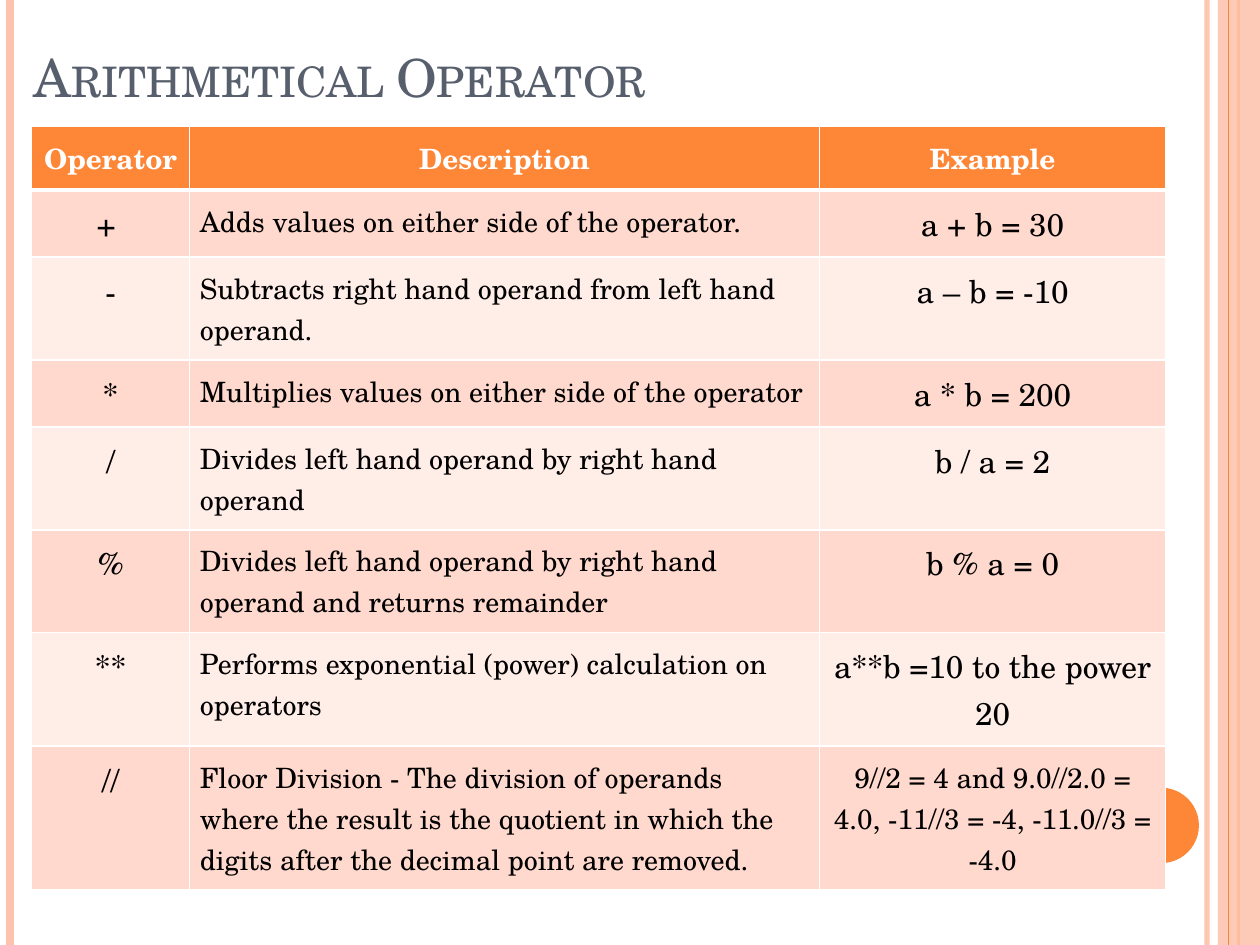
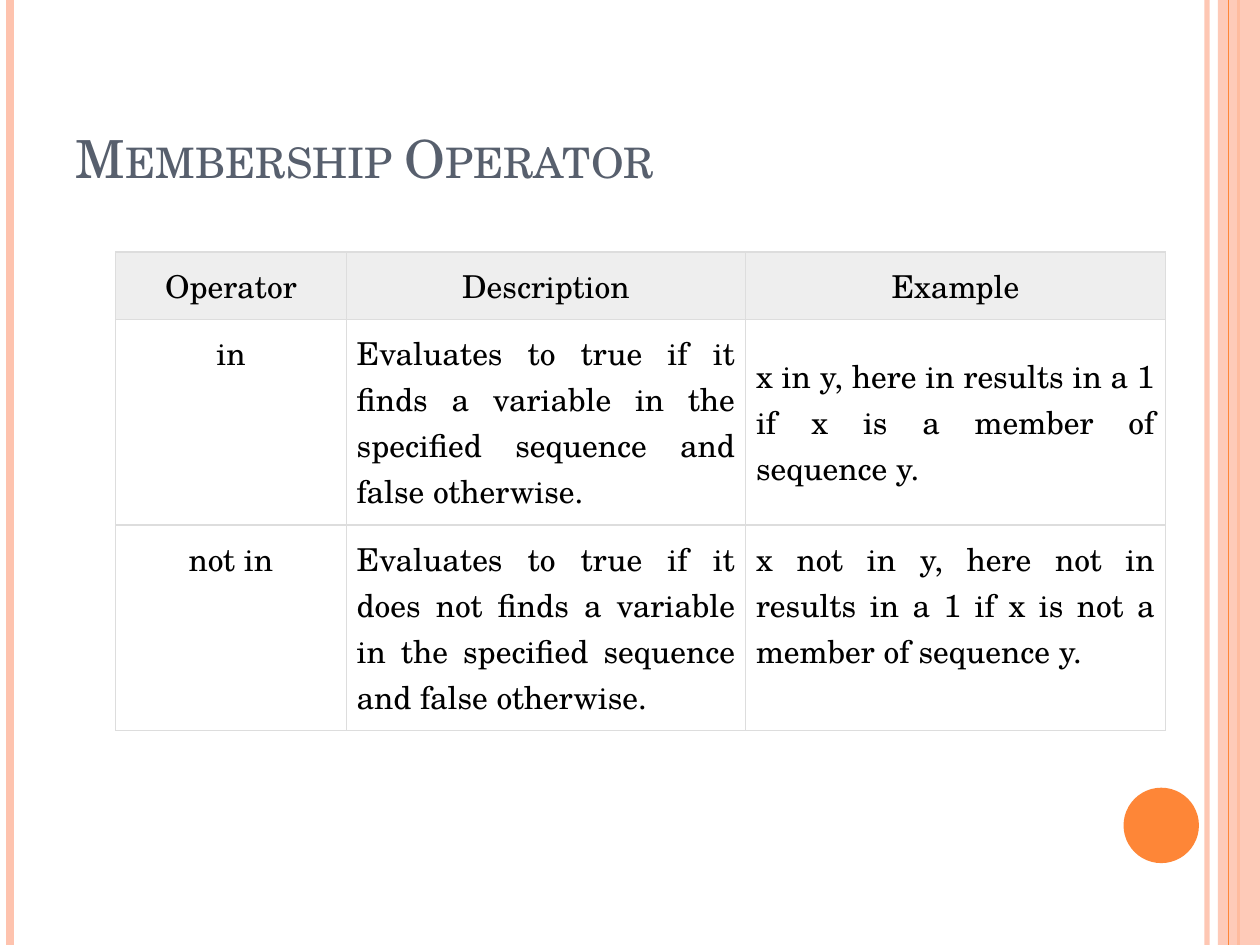
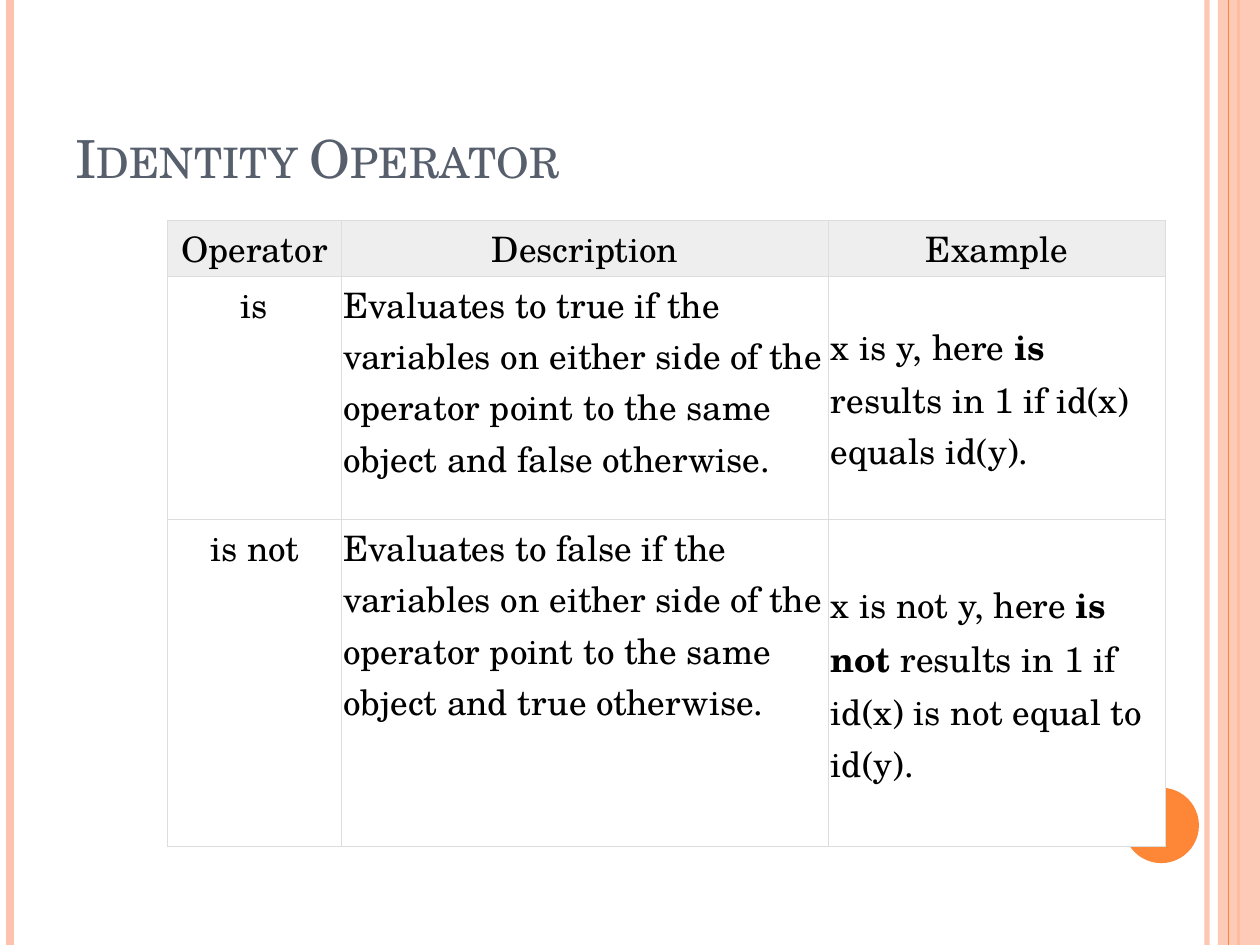
import pptx
import pptx.util
import pptx.dml.color
import pptx.enum.shapes
import pptx.enum.text
import pptx.oxml
import pptx.oxml.ns

Cm = pptx.util.Cm
Pt = pptx.util.Pt
ALIGN = pptx.enum.text.PP_ALIGN
ANCHOR = pptx.enum.text.MSO_ANCHOR
qn = pptx.oxml.ns.qn

FONT = "TeX Gyre Schola"
COLORS = {
    "orange": "FE8637", "peach": "FEC3AE", "title": "575F6D",
    "band_dark": "FFD9CE", "band_light": "FFEDE8",
    "white": "FFFFFF", "black": "000000",
    "header_grey": "EEEEEE", "border_grey": "DDDDDD",
}
SLIDE_WIDTH, SLIDE_HEIGHT = 25.4, 19.05
HEADINGS = ("Operator", "Description", "Example")

ARITHMETIC_ROWS = [
    ("+ ", "Adds values on either side of the operator.", "a + b = 30"),
    ("-", "Subtracts right hand operand from left hand operand.", "a – b = -10"),
    ("*", "Multiplies values on either side of the operator", "a * b = 200"),
    ("/", "Divides left hand operand by right hand operand", "b / a = 2"),
    ("%", "Divides left hand operand by right hand operand and returns remainder",
     "b % a = 0"),
    ("**", "Performs exponential (power) calculation on operators",
     "a**b =10 to the power 20"),
    ("//", "Floor Division - The division of operands where the result is the "
     "quotient in which the digits after the decimal point are removed.",
     "9//2 = 4 and 9.0//2.0 = 4.0, -11//3 = -4, -11.0//3 = -4.0"),
]
MEMBERSHIP_ROWS = [
    ("in", "Evaluates to true if it finds a variable in the specified sequence "
     "and false otherwise.",
     "x in y, here in results in a 1 if x is a member of sequence y."),
    ("not in", "Evaluates to true if it does not finds a variable in the "
     "specified sequence and false otherwise.",
     "x not in y, here not in results in a 1 if x is not a member of sequence y."),
]
# A tuple inside a row is a list of runs; every second run is bold
IDENTITY_ROWS = [
    ("is", "Evaluates to true if the variables on either side of the operator "
     "point to the same object and false otherwise.",
     ("x is y, here ", "is", " results in 1 if id(x) equals id(y).")),
    ("is not", "Evaluates to false if the variables on either side of the "
     "operator point to the same object and true otherwise.",
     ("x is not y, here ", "is not",
      " results in 1 if id(x) is not equal to id(y).")),
]


def rgb(name):
    return pptx.dml.color.RGBColor.from_string(COLORS[name])


def set_opacity(shape, percent):
    color = next(shape.element.iter(qn("a:srgbClr")))
    alpha = pptx.oxml.parse_xml(
        f'<a:alpha {pptx.oxml.ns.nsdecls("a")} val="{percent * 1000}"/>')
    color.append(alpha)


# Shared side bands and circle
def add_vertical_line(slide, x, color, width):
    line = slide.shapes.add_connector(
        pptx.enum.shapes.MSO_CONNECTOR.STRAIGHT, Cm(x), 0, Cm(x), Cm(SLIDE_HEIGHT))
    line.line.color.rgb = rgb(color)
    line.line.width = Pt(width)
    line.element.spPr.append(
        pptx.oxml.parse_xml(f'<a:effectLst {pptx.oxml.ns.nsdecls("a")}/>'))
    return line


def add_filled_shape(slide, kind, left, top, width, height, color):
    shape = slide.shapes.add_shape(kind, Cm(left), Cm(top), Cm(width), Cm(height))
    shape.shadow.inherit = False
    shape.fill.solid()
    shape.fill.fore_color.rgb = rgb(color)
    shape.line.fill.background()
    return shape


def decorate_layout(layout, slide):
    """Draw the decoration on a slide, then move it to the shared layout."""
    kinds = pptx.enum.shapes.MSO_SHAPE
    inner_line = add_vertical_line(slide, 24.33, "peach", 3)
    set_opacity(inner_line, 93)
    left_line = add_vertical_line(slide, 0.2, "peach", 4.5)
    thick_line = add_vertical_line(slide, 24.97, "orange", 1.5)
    band = add_filled_shape(slide, kinds.RECTANGLE, 24.55, 0, 0.85, SLIDE_HEIGHT, "peach")
    set_opacity(band, 87)
    thin_line = add_vertical_line(slide, 24.77, "orange", 0.75)
    circle = add_filled_shape(slide, kinds.OVAL, 22.65, 15.88, 1.52, 1.52, "orange")
    shapes = (inner_line, left_line, thick_line, band, thin_line, circle)
    for number, shape in enumerate(shapes, start=100):
        next(shape.element.iter(qn("p:cNvPr"))).set("id", str(number))
        layout.shapes.element.append(shape.element)


# Text
def add_run(paragraph, text, size, color, bold=False):
    run = paragraph.add_run()
    run.text = text
    run.font.name = FONT
    run.font.size = Pt(size)
    run.font.bold = bold
    run.font.color.rgb = rgb(color)
    return run


def set_title(slide, text, left=1.27, top=0.76, width=20.75, height=3.18):
    title = slide.shapes.title
    title.left, title.top = Cm(left), Cm(top)
    title.width, title.height = Cm(width), Cm(height)
    frame = title.text_frame
    frame.auto_size = pptx.enum.text.MSO_AUTO_SIZE.NONE
    frame.vertical_anchor = ANCHOR.BOTTOM
    paragraph = frame.paragraphs[0]
    paragraph.alignment = ALIGN.LEFT
    run = add_run(paragraph, text, 30, "title")
    run._r.get_or_add_rPr().set("cap", "small")


# Tables
def set_borders(cell, color, widths):
    """Widths are points for the left, right, top and bottom border."""
    properties = cell._tc.get_or_add_tcPr()
    for side, width in zip("LRTB", widths):
        properties.append(pptx.oxml.parse_xml(
            f'<a:ln{side} {pptx.oxml.ns.nsdecls("a")} w="{Pt(width)}">'
            f'<a:solidFill><a:srgbClr val="{COLORS[color]}"/></a:solidFill>'
            f'</a:ln{side}>'))


def fill_cell(cell, content, size, color="black", bold=False,
              alignment=ALIGN.LEFT, anchor=ANCHOR.TOP, margin=0.21, fill=None):
    cell.margin_left = cell.margin_right = Cm(margin)
    cell.margin_top = cell.margin_bottom = Cm(margin)
    cell.vertical_anchor = anchor
    if fill:
        cell.fill.solid()
        cell.fill.fore_color.rgb = rgb(fill)
    else:
        cell.fill.background()
    paragraph = cell.text_frame.paragraphs[0]
    paragraph.alignment = alignment
    parts = (content,) if isinstance(content, str) else content
    for index, text in enumerate(parts):
        add_run(paragraph, text, size, color, bold or index % 2 == 1)


def add_plain_table(slide, left, top, widths, heights):
    table = slide.shapes.add_table(
        len(heights), len(widths), Cm(left), Cm(top),
        Cm(sum(widths)), Cm(sum(heights))).table
    table.first_row = table.horz_banding = False
    for column, width in zip(table.columns, widths):
        column.width = Cm(width)
    for row, height in zip(table.rows, heights):
        row.height = Cm(height)
    return table


def add_banded_table(slide, left, top, widths, row_height, rows):
    table = add_plain_table(slide, left, top, widths, [row_height] * (len(rows) + 1))
    for r, row in enumerate([HEADINGS] + rows):
        for c, content in enumerate(row):
            cell = table.cell(r, c)
            set_borders(cell, "white", (1, 1, 3 if r == 1 else 1, 3 if r == 0 else 1))
            if r == 0:
                fill_cell(cell, content, 16, "white", True, ALIGN.CENTER, fill="orange")
                continue
            is_description = c == 1
            is_long_example = c == 2 and r == len(rows)
            fill_cell(cell, content, 16 if is_description or is_long_example else 18,
                      alignment=ALIGN.LEFT if is_description else ALIGN.CENTER,
                      fill="band_dark" if r % 2 else "band_light")


def add_grid_table(slide, left, top, widths, heights, rows, size, margin,
                   text_alignment, middle_rows, body_fill=None):
    """Examples in middle_rows are centred vertically."""
    table = add_plain_table(slide, left, top, widths, heights)
    for r, row in enumerate([HEADINGS] + rows):
        for c, content in enumerate(row):
            cell = table.cell(r, c)
            set_borders(cell, "border_grey", [0.75] * 4)
            fill_cell(cell, content, size, margin=margin,
                      alignment=ALIGN.CENTER if r == 0 or c == 0 else text_alignment,
                      anchor=ANCHOR.MIDDLE if c == 2 and r in middle_rows else ANCHOR.TOP,
                      fill="header_grey" if r == 0 else body_fill)


def main():
    presentation = pptx.Presentation()
    presentation.slide_width = Cm(SLIDE_WIDTH)
    presentation.slide_height = Cm(SLIDE_HEIGHT)
    layout = presentation.slide_layouts[5]

    # Arithmetical operators
    slide = presentation.slides.add_slide(layout)
    decorate_layout(layout, slide)
    set_title(slide, "Arithmetical Operator", left=0.42, top=0.33, height=1.98)
    add_banded_table(slide, 0.64, 2.54, (3.18, 12.7, 6.98), 1.04, ARITHMETIC_ROWS)

    # Membership operators
    slide = presentation.slides.add_slide(layout)
    set_title(slide, "Membership Operator")
    add_grid_table(slide, 2.33, 5.08, (4.65, 8.05, 8.46), (1.35, 4.14, 4.14),
                   MEMBERSHIP_ROWS, 18, 0.21, ALIGN.JUSTIFY, middle_rows=(1,))

    # Identity operators
    slide = presentation.slides.add_slide(layout)
    set_title(slide, "Identity Operator")
    add_grid_table(slide, 3.38, 4.45, (3.5, 9.83, 6.78), (1.07, 4.9, 6.6),
                   IDENTITY_ROWS, 20, 0.04, ALIGN.LEFT, middle_rows=(1, 2),
                   body_fill="white")

    presentation.save("out.pptx")


if __name__ == "__main__":
    main()
